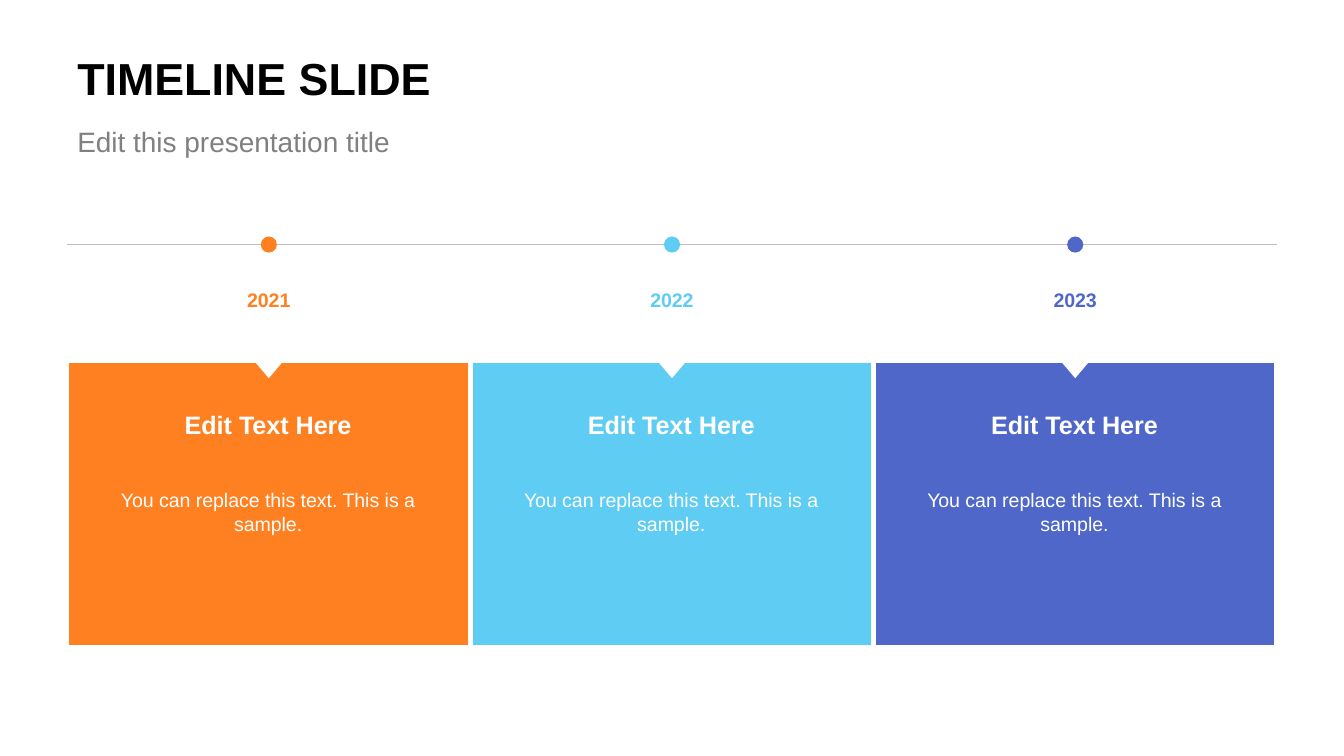
from dataclasses import dataclass
from typing import Any

from lxml import etree
from pptx import Presentation
from pptx import util as u
from pptx.dml.color import RGBColor
from pptx.enum import shapes, text
from pptx.oxml.ns import qn

CARD_COLUMNS = 30
LEFT_MARGIN = 5
MILESTONES = [("2021", "FF8021"), ("2022", "5ECCF3"), ("2023", "4E67C8")]


def color(value):
    """Turn a hex string into a colour."""
    return RGBColor.from_string(value)


@dataclass
class Painter:
    """Draw styled elements on a page divided into square grid cells."""

    page: Any
    cell: int
    font: str = "Arial"
    white: str = "FFFFFF"

    def place(self, *cells):
        """Convert grid cells to lengths."""
        return [u.Emu(round(count * self.cell)) for count in cells]

    def shape(self, kind, area, fill, border=None, rotation=0):
        """Add a filled preset shape."""
        shape = self.page.shapes.add_shape(kind, *self.place(*area))
        shape.shadow.inherit = False
        shape.rotation = rotation
        shape.fill.solid()
        shape.fill.fore_color.rgb = color(fill)
        if border:
            shape.line.color.rgb = color(self.white)
            shape.line.width = u.Pt(border)
        else:
            shape.line.fill.background()

    def label(self, words, area, size, ink, bold=False, align=text.PP_ALIGN.CENTER,
              anchor=text.MSO_ANCHOR.TOP, wrap=True, grow=True, inset=(1, 0.5), spacing=None):
        """Add a text box with one paragraph."""
        frame = self.page.shapes.add_textbox(*self.place(*area)).text_frame
        frame.word_wrap = wrap
        fit = text.MSO_AUTO_SIZE
        frame.auto_size = fit.SHAPE_TO_FIT_TEXT if grow else fit.NONE
        frame.vertical_anchor = anchor
        side, end = self.place(*inset)
        frame.margin_left = frame.margin_right = side
        frame.margin_top = frame.margin_bottom = end
        para = frame.paragraphs[0]
        para.text = words
        para.alignment = align
        if spacing:
            para.line_spacing = spacing
        para.font.name = self.font
        para.font.size = u.Pt(size)
        para.font.bold = bold
        para.font.color.rgb = color(ink)

    def heading(self, words, area, size, ink, **style):
        """Add a left-aligned heading."""
        self.label(words, area, size, ink, align=text.PP_ALIGN.LEFT,
                   grow=False, inset=(0.75, 0.38), **style)

    def rule(self, left, right, row, ink):
        """Add a thin horizontal line."""
        line = self.page.shapes.add_connector(
            shapes.MSO_CONNECTOR.STRAIGHT, *self.place(left, row, right, row))
        line.line.color.rgb = color(ink)
        line.line.width = u.Pt(1)
        etree.SubElement(line._element.spPr, qn("a:effectLst"))

    def card(self, left, fill):
        """Add a coloured card with its title and body."""
        kind = shapes.MSO_SHAPE.RECTANGLE
        self.shape(kind, (left, 26.87, CARD_COLUMNS, 21.3), fill, border=2.5)
        self.label("You can replace this text. This is a sample.",
                   (left + 1.5, 35.83, 26.9, 4.5), 10.5, self.white)
        self.label("Edit Text Here", (left + 1.5, 29.94, 26.9, 3.3),
                   13.5, self.white, bold=True)

    def milestone(self, center, year, ink):
        """Add a card notch, a year and a timeline dot."""
        kinds = shapes.MSO_SHAPE
        self.shape(kinds.ISOSCELES_TRIANGLE, (center - 1.1, 26.84, 2.2, 1.3),
                   self.white, rotation=180)
        self.label(year, (center - 2.8, 20.9, 5.6, 2.8), 10.5, ink, bold=True,
                   anchor=text.MSO_ANCHOR.MIDDLE, wrap=False)
        self.shape(kinds.OVAL, (center - 0.6, 17.6, 1.2, 1.2), ink)


def main():
    """Build the timeline deck."""
    deck = Presentation()
    deck.slide_width = u.Inches(10)
    deck.slide_height = deck.slide_width * 9 // 16
    page = deck.slides.add_slide(deck.slide_layouts[6])
    painter = Painter(page, deck.slide_width // 100)
    lefts = [LEFT_MARGIN + CARD_COLUMNS * index for index in range(len(MILESTONES))]

    for left, (_, ink) in zip(lefts, MILESTONES):
        painter.card(left, ink)
    painter.heading("TIMELINE SLIDE", (LEFT_MARGIN, 3.1, 63.8, 5.8), 24, "000000",
                    bold=True, anchor=text.MSO_ANCHOR.MIDDLE, spacing=0.9)
    painter.heading("Edit this presentation title", (LEFT_MARGIN, 8.9, 32.5, 4.2),
                    15, "808080")
    painter.rule(LEFT_MARGIN, 100 - LEFT_MARGIN, 18.2, "BFBFBF")
    for left, (year, ink) in zip(lefts, MILESTONES):
        painter.milestone(left + CARD_COLUMNS / 2, year, ink)
    deck.save("out.pptx")


if __name__ == "__main__":
    main()
